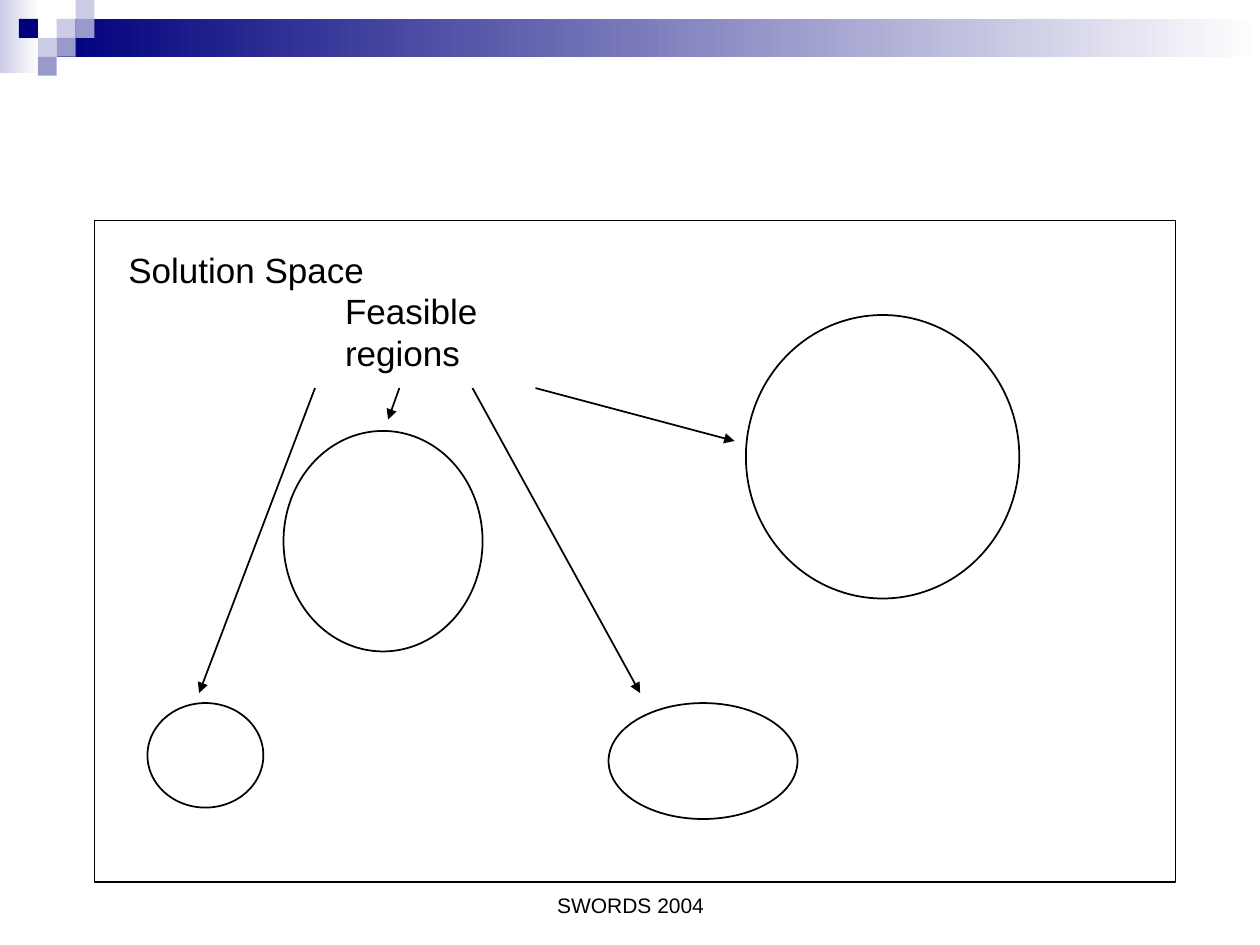
from lxml.etree import SubElement
from pptx import Presentation
from pptx.dml.color import RGBColor
from pptx.enum.shapes import MSO_CONNECTOR, MSO_SHAPE
from pptx.enum.text import MSO_ANCHOR, PP_ALIGN
from pptx.oxml.ns import qn
from pptx.util import Inches, Pt

BLACK = RGBColor(0x00, 0x00, 0x00)
WHITE = RGBColor(0xFF, 0xFF, 0xFF)
NAVY = RGBColor(0x00, 0x00, 0x7D)
LILAC = RGBColor(0xCC, 0xCC, 0xE6)
VIOLET = RGBColor(0x99, 0x99, 0xCC)

# Boxes are left, top, width, height in inches
FADES = [((0, 0, 0.31, 0.58), LILAC), ((0.45, 0.15, 9.55, 0.3), NAVY)]
TILE = 0.15
TILES = [  # column, row, colour
    (3, 1, LILAC), (4, 0, LILAC), (4, 1, VIOLET), (2, 2, LILAC),
    (1, 1, NAVY), (3, 2, VIOLET), (2, 3, VIOLET),
]
SOLUTION_SPACE = (0.75, 1.75, 8.58, 5.25)
REGIONS = [
    (2.25, 3.42, 1.58, 1.75),
    (5.92, 2.5, 2.17, 2.25),
    (4.83, 5.58, 1.5, 0.92),
    (1.17, 5.58, 0.92, 0.83),
]
ARROW_TOP = 3.08
ARROWS = [  # start x, end x, end y
    (3.17, 3.08, 3.33), (2.5, 1.58, 5.5), (3.75, 5.08, 5.5), (4.25, 5.83, 3.5),
]

deck = Presentation()
deck.slide_width, deck.slide_height = Inches(10), Inches(7.5)
page = deck.slides.add_slide(deck.slide_layouts[6])


def add_plain(kind, box):
    shape = page.shapes.add_shape(kind, *map(Inches, box))
    shape.shadow.inherit = False
    return shape


def add_tile(box, color, fade=False):
    """Add a borderless rectangle, solid or fading to white on the right."""
    shape = add_plain(MSO_SHAPE.RECTANGLE, box)
    shape.line.fill.background()
    if fade:
        shape.fill.gradient()
        shape.fill.gradient_angle = 0
        for stop, shade in zip(shape.fill.gradient_stops, (color, WHITE)):
            stop.color.rgb = shade
    else:
        shape.fill.solid()
        shape.fill.fore_color.rgb = color


def set_line(shape):
    shape.line.color.rgb = BLACK
    shape.line.width = Pt(1)


def add_outline(kind, box):
    shape = add_plain(kind, box)
    shape.fill.background()
    set_line(shape)


def add_arrow(start, end):
    arrow = page.shapes.add_connector(
        MSO_CONNECTOR.STRAIGHT, *map(Inches, start + end))
    set_line(arrow)
    SubElement(arrow.line._get_or_add_ln(), qn("a:tailEnd"), type="triangle")
    SubElement(arrow._element.spPr, qn("a:effectLst"))


def add_text(text, box, size=20, align=PP_ALIGN.LEFT, anchor=MSO_ANCHOR.TOP):
    frame = page.shapes.add_textbox(*map(Inches, box)).text_frame
    frame.word_wrap = True
    frame.vertical_anchor = anchor
    para = frame.paragraphs[0]
    para.alignment = align
    span = para.add_run()
    span.text = text
    span.font.name = "Arial"
    span.font.size = Pt(size)
    span.font.color.rgb = BLACK


for box, color in FADES:
    add_tile(box, color, fade=True)
for column, row, color in TILES:
    add_tile((column * TILE, row * TILE, TILE, TILE), color)

add_outline(MSO_SHAPE.RECTANGLE, SOLUTION_SPACE)
add_text("Solution Space", (0.92, 1.92, 2.1, 0.44))
for region in REGIONS:
    add_outline(MSO_SHAPE.OVAL, region)
add_text("Feasible regions", (2.64, 2.25, 2.08, 0.77))
for start_x, end_x, end_y in ARROWS:
    add_arrow((start_x, ARROW_TOP), (end_x, end_y))
add_text("SWORDS 2004", (3.42, 6.83, 3.17, 0.5), size=12,
         align=PP_ALIGN.CENTER, anchor=MSO_ANCHOR.BOTTOM)

deck.save("out.pptx")
